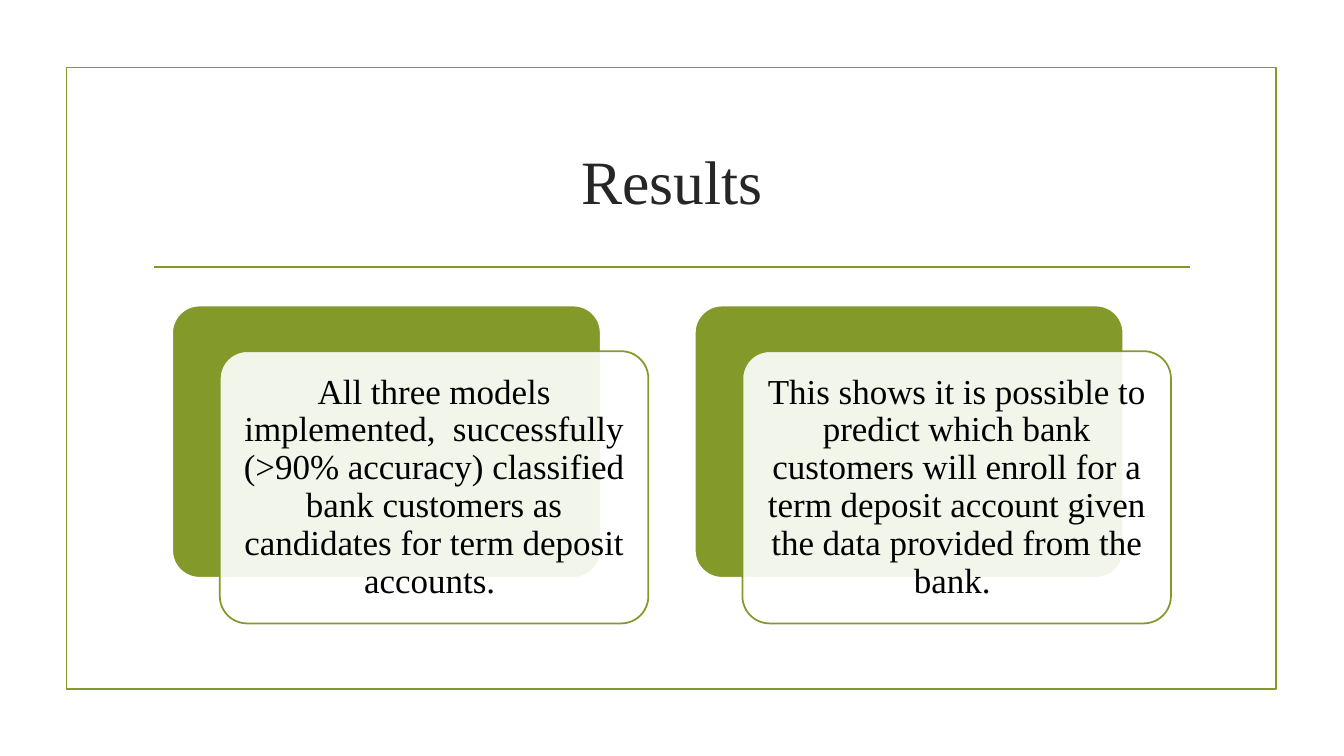
from dataclasses import dataclass

from lxml import etree
from pptx import Presentation
from pptx.dml.color import RGBColor
from pptx.enum.shapes import MSO_CONNECTOR, MSO_SHAPE
from pptx.enum.text import MSO_ANCHOR, MSO_AUTO_SIZE, PP_ALIGN
from pptx.oxml.ns import qn
from pptx.util import Cm, Pt

RECTANGLE = MSO_SHAPE.RECTANGLE
ROUNDED = MSO_SHAPE.ROUNDED_RECTANGLE
STRAIGHT = MSO_CONNECTOR.STRAIGHT
MIDDLE = MSO_ANCHOR.MIDDLE
CENTER = PP_ALIGN.CENTER
NO_AUTOFIT = MSO_AUTO_SIZE.NONE

COLORS = {"green": "83992A", "white": "FFFFFF", "title": "262626", "text": "000000"}
FONT = "Times New Roman"
LINE_WIDTH = Pt(1.25)

CARD_WIDTH, CARD_HEIGHT = 10.8, 6.86
FIRST_LEFT, CARD_TOP, CARD_PITCH = 4.34, 7.7, 13.17
FRONT_RIGHT, FRONT_DOWN = 1.2, 1.15


@dataclass
class Box:
    left: float
    top: float
    width: float
    height: float

    def lengths(self) -> tuple:
        return Cm(self.left), Cm(self.top), Cm(self.width), Cm(self.height)


FRAME = Box(1.68, 1.7, 30.48, 15.67)
TITLE = Box(3.61, 2.72, 26.67, 3.63)
FINDINGS = [
    "All three models implemented,  successfully (>90% accuracy) classified "
    "bank customers as candidates for term deposit accounts. ",
    "This shows it is possible to predict which bank customers will enroll "
    "for a term deposit account given the data provided from the bank. ",
]


def color(name: str) -> RGBColor:
    return RGBColor.from_string(COLORS[name])


def add_panel(slide, kind, box: Box, fill: str | None, line: str):
    shape = slide.shapes.add_shape(kind, *box.lengths())
    shape.shadow.inherit = False
    if fill:
        shape.fill.solid()
        shape.fill.fore_color.rgb = color(fill)
    else:
        shape.fill.background()
    shape.line.color.rgb = color(line)
    shape.line.width = LINE_WIDTH
    if kind == ROUNDED:
        shape.adjustments[0] = 0.1
    return shape


def write(shape, text: str, size: int, color_name: str, spacing: float) -> None:
    frame = shape.text_frame
    frame.word_wrap = True
    frame.auto_size = NO_AUTOFIT
    frame.vertical_anchor = MIDDLE
    paragraph = frame.paragraphs[0]
    paragraph.alignment = CENTER
    paragraph.line_spacing = spacing
    paragraph.space_before = Pt(0)
    run = paragraph.add_run()
    run.text = text
    run.font.name = FONT
    run.font.size = Pt(size)
    run.font.color.rgb = color(color_name)


def add_rule(slide, left: float, right: float, top: float) -> None:
    rule = slide.shapes.add_connector(STRAIGHT, Cm(left), Cm(top), Cm(right), Cm(top))
    rule.line.color.rgb = color("green")
    rule.line.width = LINE_WIDTH
    etree.SubElement(rule.element.spPr, qn("a:effectLst"))


def add_finding(slide, left: float, text: str) -> None:
    back = Box(left, CARD_TOP, CARD_WIDTH, CARD_HEIGHT)
    add_panel(slide, ROUNDED, back, "green", "white")
    front = Box(left + FRONT_RIGHT, CARD_TOP + FRONT_DOWN, CARD_WIDTH, CARD_HEIGHT)
    card = add_panel(slide, ROUNDED, front, "white", "green")
    # Let the back card show through slightly
    fill_color = card.element.spPr.find(qn("a:solidFill"))[0]
    etree.SubElement(fill_color, qn("a:alpha"), val="90000")
    frame = card.text_frame
    frame.margin_left = frame.margin_right = Cm(0.25)
    frame.margin_top = frame.margin_bottom = Cm(0.25)
    write(card, text, 25, "text", 0.9)


def main() -> None:
    presentation = Presentation()
    presentation.slide_width, presentation.slide_height = Cm(33.87), Cm(19.05)
    slide = presentation.slides.add_slide(presentation.slide_layouts[5])

    # Frame and rule
    add_panel(slide, RECTANGLE, FRAME, None, "green")
    add_rule(slide, 3.89, 30, 6.73)

    # Title
    title = slide.shapes.title
    title.left, title.top, title.width, title.height = TITLE.lengths()
    write(title, "Results", 44, "title", 1.0)

    # Findings, side by side
    for index, text in enumerate(FINDINGS):
        add_finding(slide, FIRST_LEFT + index * CARD_PITCH, text)

    presentation.save("out.pptx")


if __name__ == "__main__":
    main()
